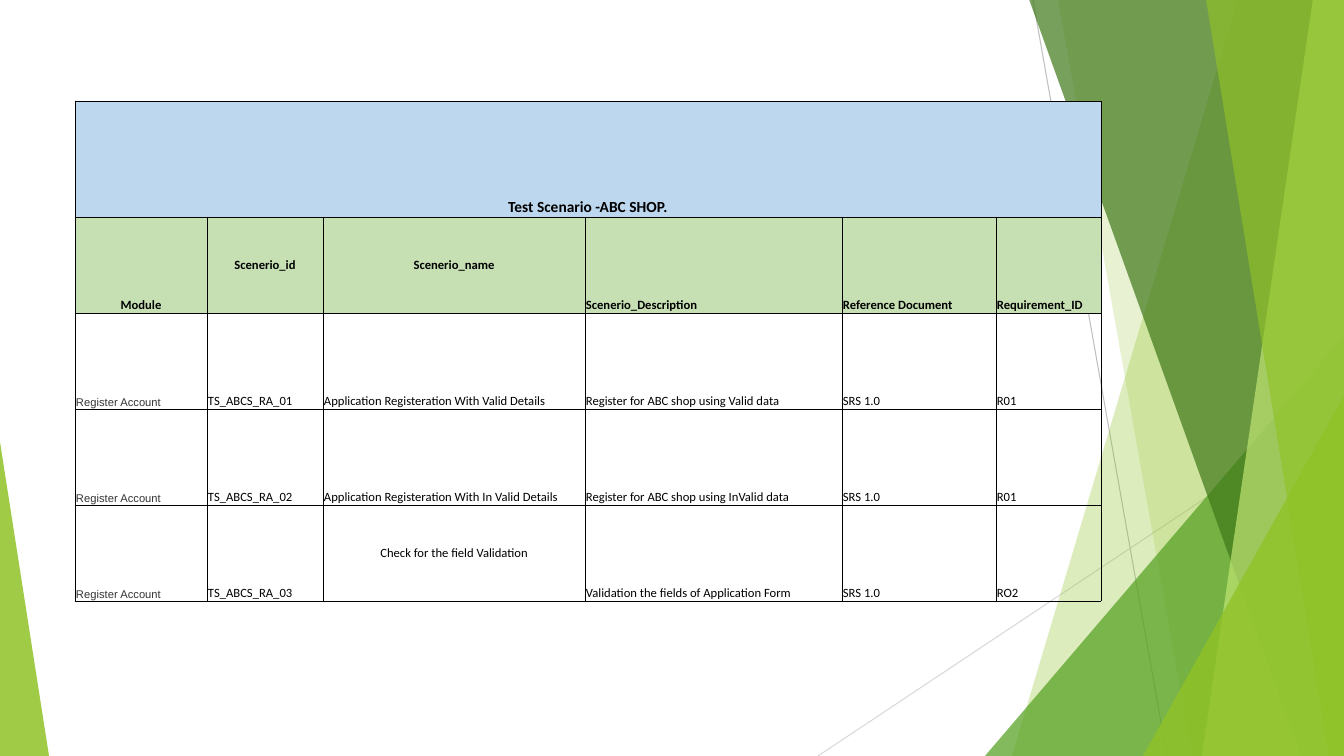
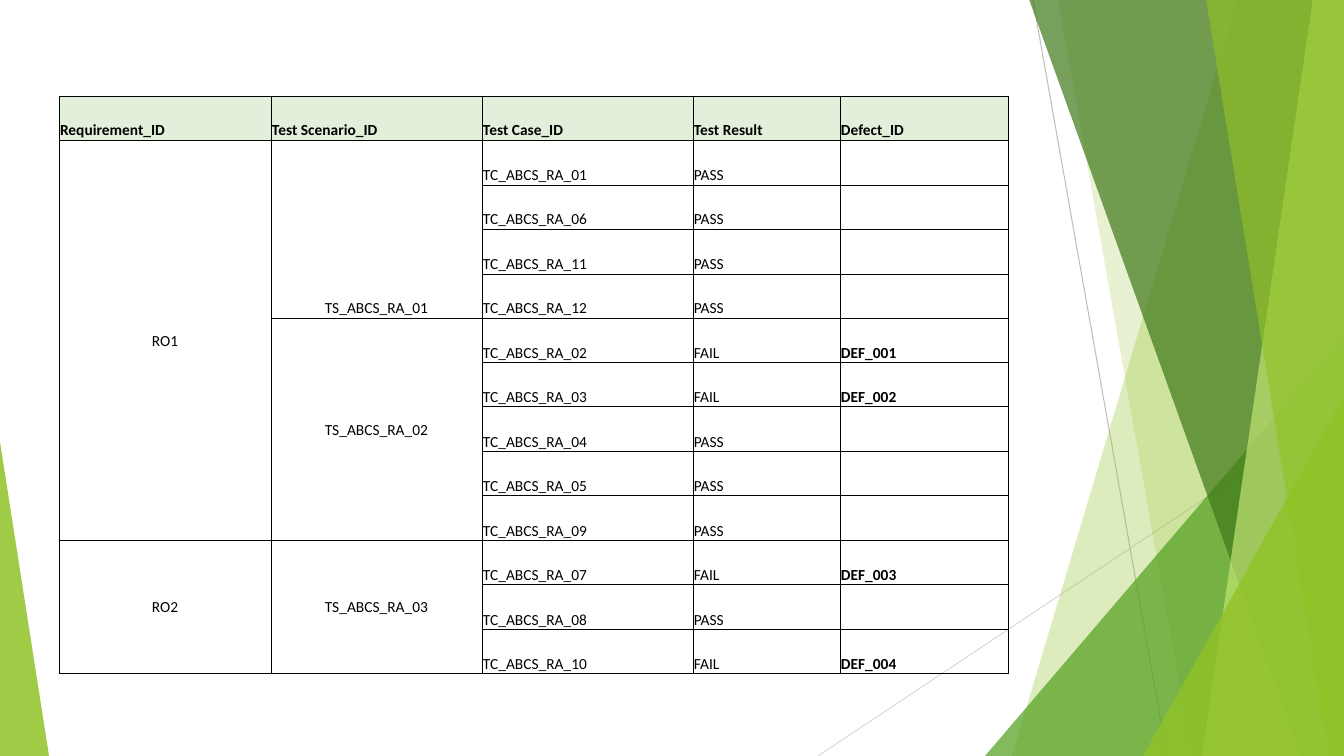
import pptx
import pptx.dml.color
import pptx.enum.shapes
import pptx.enum.text
import pptx.oxml
import pptx.oxml.ns
import pptx.util

PX = 914400 / 100.8
WIDTH, HEIGHT = 1344, 756
GREEN = "90C226"
ALIGN = pptx.enum.text.PP_ALIGN
ANCHOR = pptx.enum.text.MSO_ANCHOR
TRIANGLE = pptx.enum.shapes.MSO_SHAPE.ISOSCELES_TRIANGLE
STRAIGHT = pptx.enum.shapes.MSO_CONNECTOR.STRAIGHT
NS = pptx.oxml.ns.nsdecls("a")


def paint(fill, color):
    fill.solid()
    fill.fore_color.rgb = pptx.dml.color.RGBColor.from_string(color)


def write(cell, text, size=9, bold=False, font="Calibri", color="000000",
          align=ALIGN.LEFT, anchor=ANCHOR.BOTTOM):
    cell.vertical_anchor = anchor
    cell.margin_left = cell.margin_right = cell.margin_top = round(PX)
    cell.margin_bottom = 0
    paragraph = cell.text_frame.paragraphs[0]
    paragraph.alignment = align
    if text:
        run = paragraph.add_run()
        run.text = text
        run.font.size = pptx.util.Pt(size)
        run.font.bold = bold
        run.font.name = font
        paint(run.font.fill, color)


rays = [
    ((1033, 0, 1167, HEIGHT), "BFBFBF"),
    ((WIDTH, 406, 818, HEIGHT), "D9D9D9"),
]

# fmt: off
facets = [
    ("band", (1238, 1012), GREEN, 30),
    ("band", (1058, 1192), GREEN, 20),
    ("right", (985, 336, 359, 420), "54A021", 72),
    ("band", (1029, 1301), "3F7819", 70),
    ("band", (1313, 1202), "C0E474", 70),
    ("band", (1206, 1329), GREEN, 65),
    ("right", (1143, 396, 201, 360), GREEN, 80),
    ("left", (0, 442, 49, 314), GREEN, 85),
]
# fmt: on

middle = dict(align=ALIGN.CENTER, anchor=ANCHOR.MIDDLE)
module = dict(size=8, font="Arial", color="333333")

scenarios = dict(
    left=75, top=101,
    widths=[132, 116, 262, 257, 154, 105],
    heights=[116] + [96] * 4,
    size=9,
    rows=[
        ["Test Scenario -ABC SHOP."] + [""] * 5,
        ["Module", "Scenerio_id", "Scenerio_name", "Scenerio_Description",
         "Reference Document", "Requirement_ID"],
        ["Register Account", "TS_ABCS_RA_01", "Application Registeration With Valid Details",
         "Register for ABC shop using Valid data", "SRS 1.0", "R01"],
        ["Register Account", "TS_ABCS_RA_02", "Application Registeration With In Valid Details",
         "Register for ABC shop using InValid data", "SRS 1.0", "R01"],
        ["Register Account", "TS_ABCS_RA_03", "Check for the field Validation",
         "Validation the fields of Application Form", "SRS 1.0", "RO2"],
    ],
    header_fills=["BDD7EE", "C6E0B4"],
    merges=[(0, 0, 0, 5)],
    formats={
        (0, 0): dict(size=11, align=ALIGN.CENTER),
        (1, 0): dict(align=ALIGN.CENTER),
        (1, 1): middle, (1, 2): middle, (4, 2): middle,
        (2, 0): module, (3, 0): module, (4, 0): module,
    },
)

test_cases = [
    ("01", ""), ("06", ""), ("11", ""), ("12", ""),
    ("02", "DEF_001"), ("03", "DEF_002"), ("04", ""), ("05", ""), ("09", ""),
    ("07", "DEF_003"), ("08", ""), ("10", "DEF_004"),
]
traceability = dict(
    left=59, top=96,
    widths=[212, 211, 211, 147, 168],
    heights=[44, 45] * 6 + [44],
    size=11,
    rows=[["Requirement_ID", "Test Scenario_ID", "Test Case_ID", "Test Result", "Defect_ID"]],
    header_fills=["E2EFDA"],
    merges=[(1, 0, 9, 0), (10, 0, 12, 0), (1, 1, 4, 1), (5, 1, 9, 1), (10, 1, 12, 1)],
    formats={
        (1, 0): middle, (10, 0): middle, (5, 1): middle, (10, 1): middle,
        (1, 1): dict(align=ALIGN.CENTER),
    },
)
group_labels = {0: ("RO1", "TS_ABCS_RA_01"), 4: ("", "TS_ABCS_RA_02"), 9: ("RO2", "TS_ABCS_RA_03")}
for index, (number, defect) in enumerate(test_cases):
    requirement, scenario = group_labels.get(index, ("", ""))
    result = "FAIL" if defect else "PASS"
    traceability["rows"].append([requirement, scenario, "TC_ABCS_RA_" + number, result, defect])
    traceability["formats"][index + 1, 4] = dict(bold=True)

deck = pptx.Presentation()
deck.slide_width = round(WIDTH * PX)
deck.slide_height = round(HEIGHT * PX)

for matrix in (scenarios, traceability):
    slide = deck.slides.add_slide(deck.slide_layouts[6])

    for ends, color in rays:
        ray = slide.shapes.add_connector(STRAIGHT, *[round(v * PX) for v in ends])
        ray.line.width = pptx.util.Pt(0.75)
        paint(ray.line.fill, color)
        ray._element.spPr.append(pptx.oxml.parse_xml(f"<a:effectLst {NS}/>"))

    for kind, geometry, color, opacity in facets:
        if kind == "band":
            top_x, bottom_x = geometry
            outline = slide.shapes.build_freeform(top_x, -1, scale=PX)
            outline.add_line_segments([(WIDTH, -1), (WIDTH, HEIGHT), (bottom_x, HEIGHT)])
            facet = outline.convert_to_shape()
        else:
            facet = slide.shapes.add_shape(TRIANGLE, *[round(v * PX) for v in geometry])
            facet.adjustments[0] = 1 if kind == "right" else 0
        facet.shadow.inherit = False
        facet.line.fill.background()
        paint(facet.fill, color)
        tint = facet._element.xpath("./p:spPr/a:solidFill/a:srgbClr")[0]
        tint.append(pptx.oxml.parse_xml(f'<a:alpha {NS} val="{opacity * 1000}"/>'))

    widths, heights = matrix["widths"], matrix["heights"]
    frame = [matrix["left"], matrix["top"], sum(widths), sum(heights)]
    grid = slide.shapes.add_table(len(heights), len(widths), *[round(v * PX) for v in frame]).table
    grid.first_row = grid.horz_banding = False
    for column, width in zip(grid.columns, widths):
        column.width = round(width * PX)
    for row, height in zip(grid.rows, heights):
        row.height = round(height * PX)

    header_fills = matrix["header_fills"]
    for r, texts in enumerate(matrix["rows"]):
        is_header = r < len(header_fills)
        for c, text in enumerate(texts):
            cell = grid.cell(r, c)
            style = dict(size=matrix["size"], bold=is_header)
            style.update(matrix["formats"].get((r, c), {}))
            write(cell, text, **style)
            for side in ("lnL", "lnR", "lnT", "lnB"):
                cell._tc.get_or_add_tcPr().append(pptx.oxml.parse_xml(
                    f'<a:{side} {NS} w="6350"><a:solidFill><a:srgbClr val="000000"/>'
                    f"</a:solidFill></a:{side}>"))
            if is_header:
                paint(cell.fill, header_fills[r])
            elif text == "RO2" and c == 0:
                paint(cell.fill, "FFFFFF")
            else:
                cell.fill.background()

    for first_row, first_column, last_row, last_column in matrix["merges"]:
        grid.cell(first_row, first_column).merge(grid.cell(last_row, last_column))

deck.save("out.pptx")
